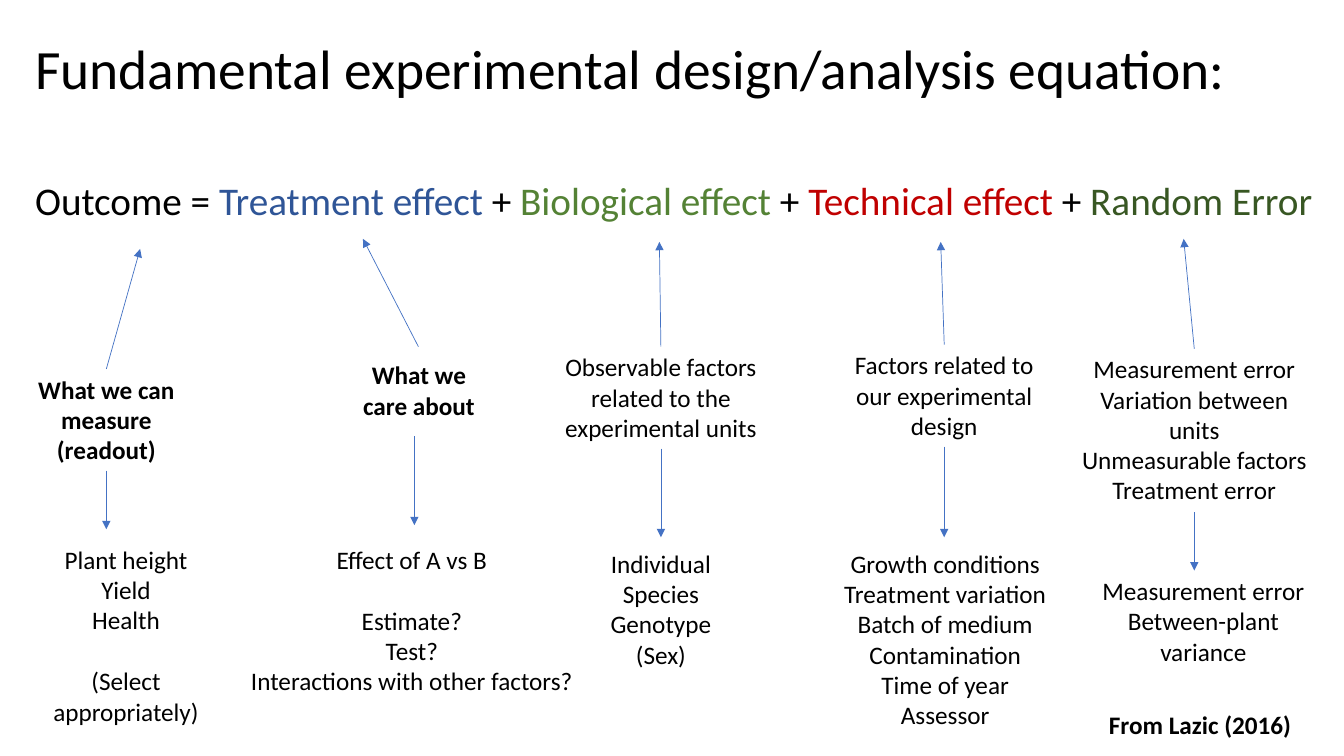
from pptx import Presentation
from pptx.dml.color import RGBColor
from pptx.enum.shapes import MSO_CONNECTOR
from pptx.enum.text import MSO_ANCHOR, MSO_AUTO_SIZE, PP_ALIGN
from pptx.oxml.ns import qn
from pptx.util import Inches, Pt
from lxml import etree

STRAIGHT = MSO_CONNECTOR.STRAIGHT
MIDDLE = MSO_ANCHOR.MIDDLE
FIT_SHAPE = MSO_AUTO_SIZE.SHAPE_TO_FIT_TEXT
LEFT, CENTER = PP_ALIGN.LEFT, PP_ALIGN.CENTER
TOP_SIDE, BOTTOM_SIDE = 0, 2
FONT = "Calibri"
BLACK, ARROW_BLUE = "000000", "4472C4"
GROUP_GAP = Pt(22)

EQUATION = [
    ("Outcome = ", BLACK),
    ("Treatment effect ", "2F5597"),
    ("+ ", BLACK),
    ("Biological effect ", "548235"),
    ("+ ", BLACK),
    ("Technical effect ", "C00000"),
    ("+ ", BLACK),
    ("Random Error", "385723"),
]

COLUMNS = [
    dict(meaning=["What we can measure (readout)"], meaning_box=(0.27, 3.66, 1.57, 1.01),
         bold=True, up_tip=(1.39, 2.47), down_tip=5.25,
         examples=[["Plant height", "Yield", "Health"], ["(Select appropriately)"]],
         examples_box=(0.25, 5.35, 2, 1.92), wrap=True),
    dict(meaning=["What we care about"], meaning_box=(3.37, 3.52, 1.57, 0.71),
         bold=True, up_tip=(3.6, 2.37), down_tip=5.21,
         up_start=(4.15, 3.44), down_start=(4.11, 4.33),
         examples=[["Effect of A vs B"],
                   ["Estimate?", "Test?", "Interactions with other factors?"]],
         examples_box=(2.37, 5.35, 3.43, 1.62)),
    dict(meaning=["Observable factors related to the experimental units"],
         meaning_box=(5.4, 3.44, 2.31, 1.01), up_tip=(6.54, 2.4), down_tip=5.33,
         examples=[["Individual", "Species", "Genotype", "(Sex)"]],
         examples_box=(5.95, 5.39, 1.21, 1.31)),
    dict(meaning=["Factors related to our experimental design"],
         meaning_box=(8.21, 3.42, 2.31, 1.01), up_tip=(9.33, 2.4), down_tip=5.33,
         examples=[["Growth conditions", "Treatment variation", "Batch of medium",
                    "Contamination", "Time of year", "Assessor"]],
         examples_box=(8.26, 5.39, 2.23, 1.92)),
    dict(meaning=["Measurement error", "Variation between units",
                  "Unmeasurable factors", "Treatment error"],
         meaning_box=(10.59, 3.46, 2.51, 1.62), up_tip=(11.74, 2.37), down_tip=5.66,
         examples=[["Measurement error", "Between-plant variance"]],
         examples_box=(10.68, 5.66, 2.51, 1.31), wrap=True),
]


def color(value):
    return RGBColor.from_string(value)


def add_text(page, place, groups, size=18, bold=False, align=CENTER, wrap=True):
    box = page.shapes.add_textbox(*map(Inches, place))
    frame = box.text_frame
    frame.word_wrap = wrap
    frame.auto_size = FIT_SHAPE
    para = frame.paragraphs[0]
    for group_number, group in enumerate(groups):
        for line_number, line in enumerate(group):
            if group_number or line_number:
                para = frame.add_paragraph()
            if group_number and not line_number:
                para.space_before = GROUP_GAP
            para.text = line
            para.alignment = align
            para.font.name = FONT
            para.font.size = Pt(size)
            para.font.bold = bold
            para.font.color.rgb = color(BLACK)
    return box


def add_title(page, place):
    box = add_text(page, place, [["Fundamental experimental design/analysis equation:"]],
                   size=39.6, align=LEFT)
    frame = box.text_frame
    frame.auto_size = MSO_AUTO_SIZE.NONE
    frame.vertical_anchor = MIDDLE
    frame.paragraphs[0].line_spacing = 0.9


def add_equation(page, place):
    box = page.shapes.add_textbox(*map(Inches, place))
    frame = box.text_frame
    frame.word_wrap = False
    frame.auto_size = FIT_SHAPE
    para = frame.paragraphs[0]
    para.font.name = FONT
    para.font.size = Pt(28)
    for term, term_color in EQUATION:
        span = para.add_run()
        span.text = term
        span.font.color.rgb = color(term_color)


def add_arrow(page, start, tip):
    arrow = page.shapes.add_connector(STRAIGHT, *map(Inches, (*start, *tip)))
    arrow.line.color.rgb = color(ARROW_BLUE)
    arrow.line.width = Pt(0.5)
    etree.SubElement(arrow.line._get_or_add_ln(), qn("a:tailEnd"), type="triangle")
    etree.SubElement(arrow._element.spPr, qn("a:effectLst"))
    return arrow


def add_column(page, meaning, meaning_box, up_tip, down_tip, examples, examples_box,
               bold=False, wrap=False, up_start=None, down_start=None):
    left, top, width, height = meaning_box
    center = left + width / 2
    box = add_text(page, meaning_box, [meaning], bold=bold)
    up_arrow = add_arrow(page, up_start or (center, top), up_tip)
    if not up_start:
        up_arrow.begin_connect(box, TOP_SIDE)
    start = down_start or (center, top + height)
    down_arrow = add_arrow(page, start, (start[0], down_tip))
    if not down_start:
        down_arrow.begin_connect(box, BOTTOM_SIDE)
    add_text(page, examples_box, examples, wrap=wrap)


def main():
    deck = Presentation()
    deck.slide_width, deck.slide_height = Inches(13.33), Inches(7.5)
    page = deck.slides.add_slide(deck.slide_layouts[6])
    add_title(page, (0.25, 0.14, 12.44, 1.13))
    add_equation(page, (0.25, 1.7, 12.94, 0.57))
    for column in COLUMNS:
        add_column(page, **column)
    add_text(page, (10.9, 6.99, 2.07, 0.4), [["From Lazic (2016)"]],
             bold=True, align=LEFT, wrap=False)
    deck.save("out.pptx")


if __name__ == "__main__":
    main()
